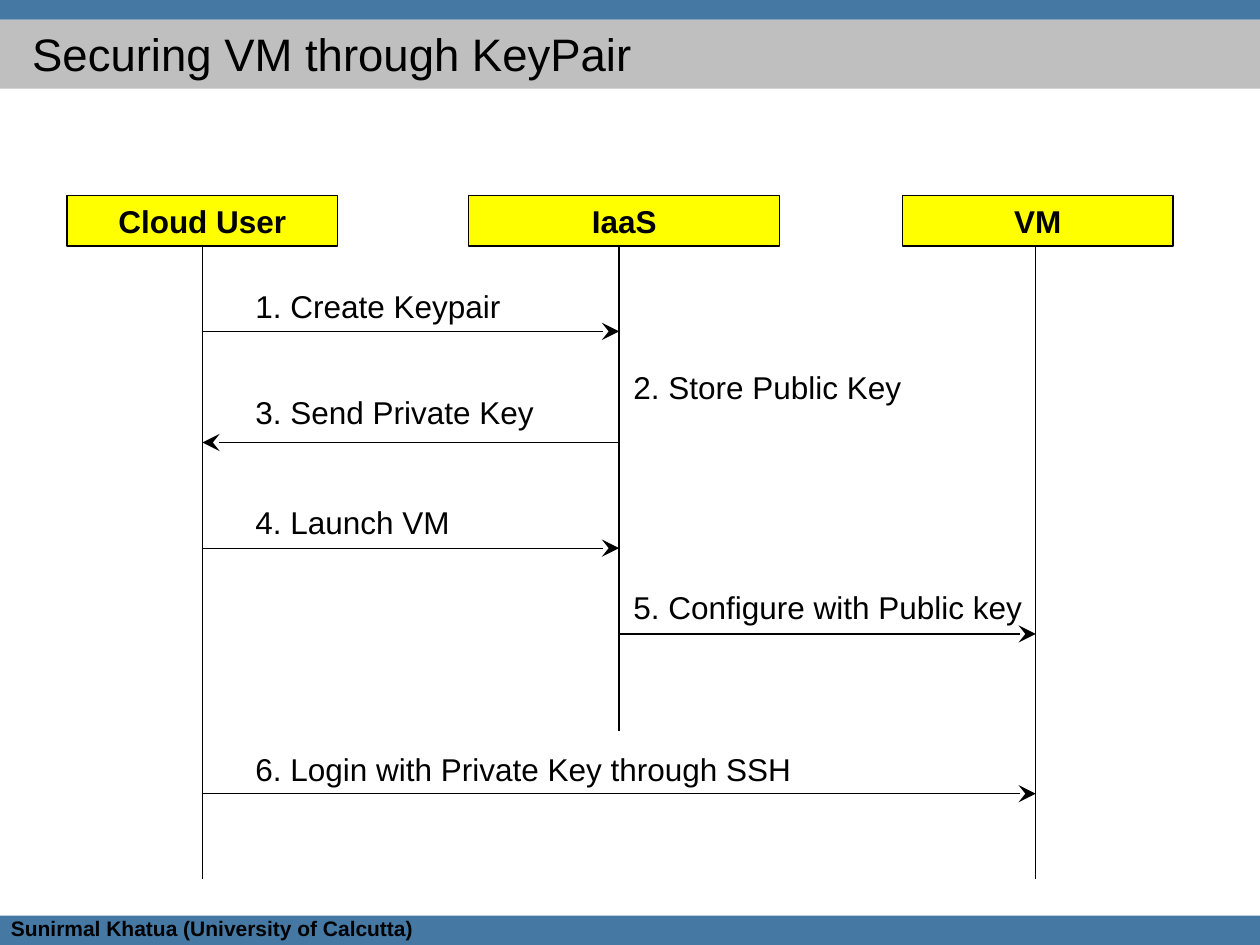
from lxml import etree
from pptx import Presentation
from pptx import util as u
from pptx.dml.color import RGBColor
from pptx.enum import shapes, text
from pptx.oxml import ns

COLOURS = {"band": "4579A4", "title": "BFBFBF", "actor": "FFFF00", "ink": "000000"}

deck = Presentation()
deck.slide_width, deck.slide_height = u.Cm(25.4), u.Cm(19.05)
page = deck.slides.add_slide(deck.slide_layouts[6])


def add_box(left, top, width, height, words="", size=18, bold=False, fill=None, outlined=False):
    place = [u.Cm(value) for value in (left, top, width, height)]
    if fill:
        box = page.shapes.add_shape(shapes.MSO_SHAPE.RECTANGLE, *place)
        box.shadow.inherit = False
        box.fill.solid()
        box.fill.fore_color.rgb = RGBColor.from_string(COLOURS[fill])
        if outlined:
            box.line.color.rgb = RGBColor.from_string(COLOURS["ink"])
            box.line.width = u.Pt(0.75)
        else:
            box.line.fill.background()
    else:
        box = page.shapes.add_textbox(*place)
    if words:
        box.text_frame.word_wrap = True
        box.text_frame.vertical_anchor = text.MSO_ANCHOR.TOP
        para = box.text_frame.paragraphs[0]
        para.alignment = text.PP_ALIGN.CENTER if fill else text.PP_ALIGN.LEFT
        span = para.add_run()
        span.text = words
        span.font.name = "Arial"
        span.font.size = u.Pt(size)
        span.font.bold = bold
        span.font.color.rgb = RGBColor.from_string(COLOURS["ink"])


def add_line(x1, y1, x2, y2, arrow=False):
    line = page.shapes.add_connector(
        shapes.MSO_CONNECTOR.STRAIGHT, u.Cm(x1), u.Cm(y1), u.Cm(x2), u.Cm(y2))
    line.line.color.rgb = RGBColor.from_string(COLOURS["ink"])
    line.line.width = u.Pt(0.75)
    if arrow:
        outline = line.line._get_or_add_ln()
        etree.SubElement(outline, ns.qn("a:tailEnd"), type="stealth", w="lg", len="lg")
    etree.SubElement(line._element.spPr, ns.qn("a:effectLst"))


# Actors and their lifelines
USER, CLOUD, VM = 4.08, 12.48, 20.88
ACTOR_TOP, ROW = 3.94, 1.02
actors = [
    ("Cloud User", USER, 1.35, 5.46, 17.72),
    ("IaaS", CLOUD, 9.45, 6.27, 14.73),
    ("VM", VM, 18.19, 5.46, 17.72),
]
for name, lifeline, left, width, bottom in actors:
    add_box(left, ACTOR_TOP, width, ROW, name, bold=True, fill="actor", outlined=True)
    add_line(lifeline, ACTOR_TOP + ROW, lifeline, bottom)

# Messages: label place and width, then arrow ends and height
messages = [
    ("Create Keypair", 4.9, 5.66, 7.59, USER, CLOUD, 6.68),
    ("Store Public Key", 12.52, 7.29, 7.59, None, None, None),
    ("Send Private Key", 4.9, 7.8, 7.59, CLOUD, USER, 8.92),
    ("Launch VM", 4.9, 10.01, 7.59, USER, CLOUD, 11.05),
    ("Configure with Public key", 12.52, 11.73, 8.41, CLOUD, VM, 12.78),
    ("Login with Private Key through SSH", 4.9, 14.99, 13.28, USER, VM, 16),
]
for number, (label, left, top, width, start, end, height) in enumerate(messages, 1):
    if start is not None:
        add_line(start, height, end, height, arrow=True)
    add_box(left, top, width, ROW, f"{number}. {label}")

# Footer, title band and top band
add_box(0, 18.46, 25.4, 0.59, fill="band")
add_box(0, 0.4, 25.4, 1.39, fill="title")
add_box(0, 0, 25.4, 0.4, fill="band")
add_box(-0.03, 18.34, 13.89, 0.76, "Sunirmal Khatua (University of Calcutta)", size=12, bold=True)
add_box(0.4, 0.4, 19.25, 1.37, "Securing VM through KeyPair", size=26)

deck.save("out.pptx")
